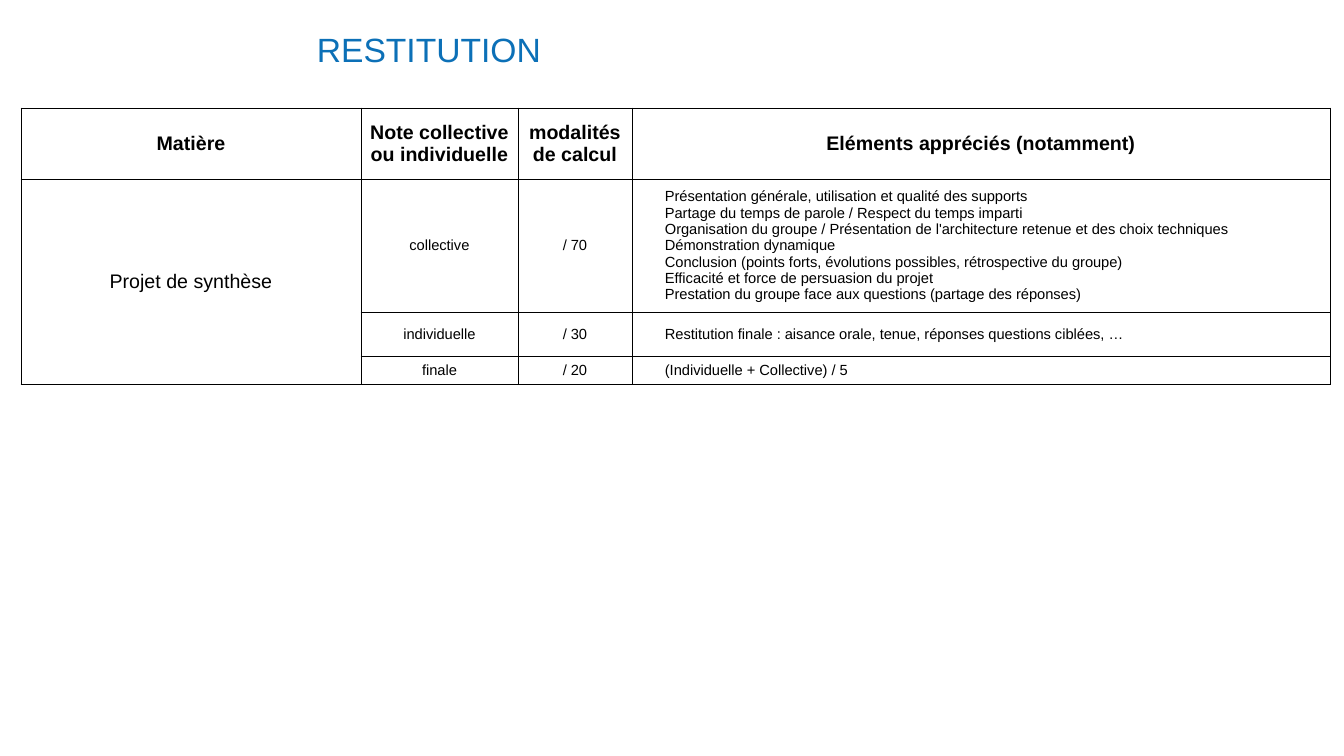
from lxml.etree import SubElement
from pptx import Presentation
from pptx.dml.color import RGBColor
from pptx.enum.text import MSO_ANCHOR, PP_ALIGN
from pptx.oxml.ns import qn
from pptx.util import Pt

EMU_PER_PX = 9071
FONT = "Arial"
BLACK = "000000"
BLUE = "0C70B7"

COLUMN_WIDTHS = [340, 157, 114, 698]
ROW_HEIGHTS = [71, 125, 44, 28]
CELL_MARGIN = 5
CRITERIA_INDENT = 28

HEADINGS = ["Matière", "Note collective ou individuelle", "modalités de calcul",
            "Eléments appréciés (notamment)"]
SUBJECT = "Projet de synthèse"
GRADES = [
    ("collective", "/ 70", [
        "Présentation générale, utilisation et qualité des supports",
        "Partage du temps de parole / Respect du temps imparti",
        "Organisation du groupe / Présentation de l'architecture retenue et des choix techniques",
        "Démonstration dynamique",
        "Conclusion (points forts, évolutions possibles, rétrospective du groupe)",
        "Efficacité et force de persuasion du projet",
        "Prestation du groupe face aux questions (partage des réponses)",
    ]),
    ("individuelle", "/ 30",
     ["Restitution finale : aisance orale, tenue, réponses questions ciblées, …"]),
    ("finale", "/ 20", ["(Individuelle + Collective) / 5"]),
]


def px(length):
    return length * EMU_PER_PX


def color(hex_string):
    return RGBColor.from_string(hex_string)


def style_text(frame, size, hex_string, bold=False, align=PP_ALIGN.LEFT, indent=0):
    for paragraph in frame.paragraphs:
        paragraph.alignment = align
        if indent:
            properties = paragraph._p.get_or_add_pPr()
            properties.set("marL", str(px(indent)))
            properties.set("indent", "0")
        for run in paragraph.runs:
            run.font.name = FONT
            run.font.size = Pt(size)
            run.font.bold = bold
            run.font.color.rgb = color(hex_string)


def frame_cell(cell):
    """Give the cell thin black borders, no fill, even margins and middle anchoring."""
    properties = cell._tc.get_or_add_tcPr()
    for side in ("a:lnL", "a:lnR", "a:lnT", "a:lnB"):
        border = SubElement(properties, qn(side), w=str(Pt(0.5)))
        fill = SubElement(border, qn("a:solidFill"))
        SubElement(fill, qn("a:srgbClr"), val=BLACK)
    cell.fill.background()
    cell.margin_left = cell.margin_right = px(CELL_MARGIN)
    cell.margin_top = cell.margin_bottom = px(CELL_MARGIN)
    cell.vertical_anchor = MSO_ANCHOR.MIDDLE


def fill_cell(cell, text, size, **style):
    cell.text_frame.text = text
    style_text(cell.text_frame, size, BLACK, **style)


def add_title(slide, left, top, width, height):
    frame = slide.shapes.add_textbox(px(left), px(top), px(width), px(height)).text_frame
    frame.word_wrap = True
    frame.vertical_anchor = MSO_ANCHOR.MIDDLE
    frame.text = "RESTITUTION"
    frame.paragraphs[0].line_spacing = 0.9
    style_text(frame, 24, BLUE)


def add_grading_table(slide, left, top):
    table = slide.shapes.add_table(
        len(ROW_HEIGHTS), len(COLUMN_WIDTHS), px(left), px(top),
        px(sum(COLUMN_WIDTHS)), px(sum(ROW_HEIGHTS))).table
    table.first_row = table.horz_banding = False
    for column, width in zip(table.columns, COLUMN_WIDTHS):
        column.width = px(width)
    for row, height in zip(table.rows, ROW_HEIGHTS):
        row.height = px(height)
        for cell in row.cells:
            frame_cell(cell)

    center = PP_ALIGN.CENTER
    for column, heading in enumerate(HEADINGS):
        fill_cell(table.cell(0, column), heading, 14, bold=True, align=center)

    subject_cell = table.cell(1, 0)
    subject_cell.merge(table.cell(len(GRADES), 0))
    fill_cell(subject_cell, SUBJECT, 14, align=center)

    for row, (kind, points, criteria) in enumerate(GRADES, start=1):
        fill_cell(table.cell(row, 1), kind, 10.5, align=center)
        fill_cell(table.cell(row, 2), points, 10.5, align=center)
        fill_cell(table.cell(row, 3), "\n".join(criteria), 10.5, indent=CRITERIA_INDENT)


def main():
    presentation = Presentation()
    presentation.slide_width = px(1344)
    presentation.slide_height = px(756)
    slide = presentation.slides.add_slide(presentation.slide_layouts[6])
    add_title(slide, 307, 16, 1037, 72)
    add_grading_table(slide, 21, 108)
    presentation.save("out.pptx")


if __name__ == "__main__":
    main()
